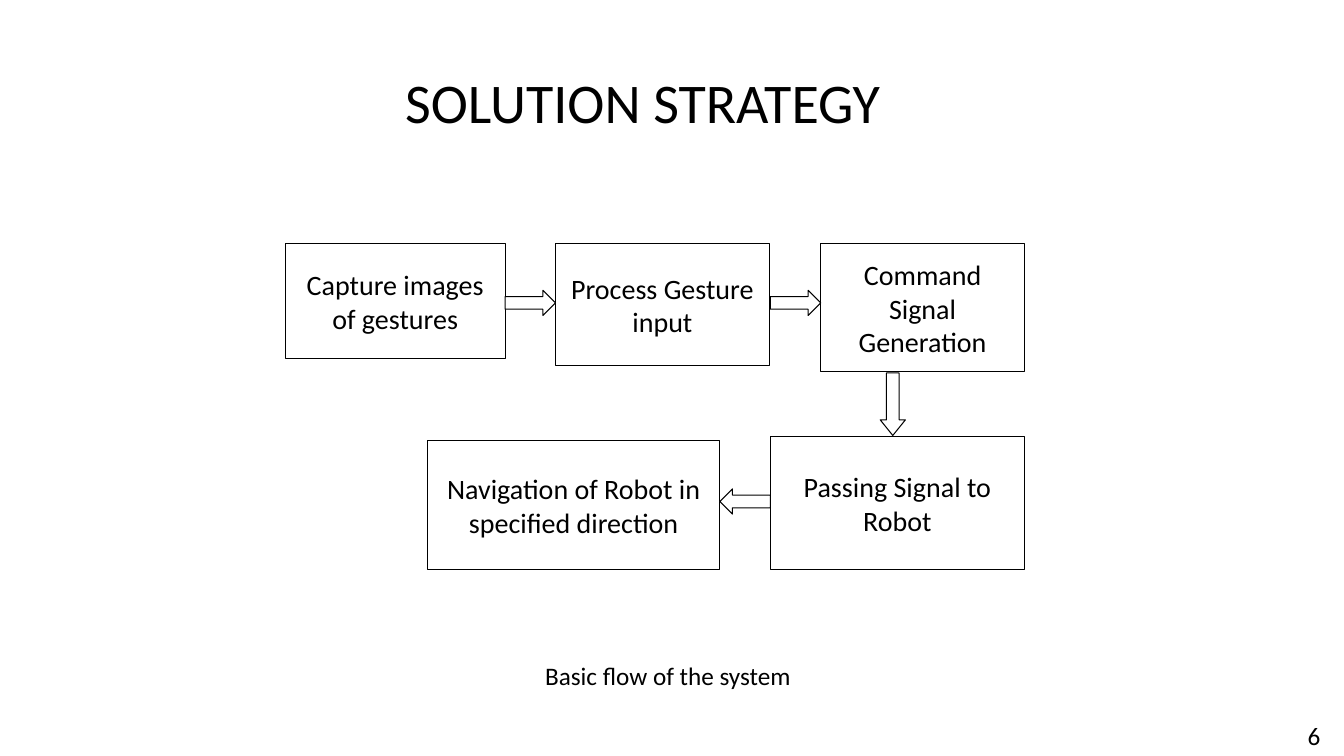
from pptx import Presentation
from pptx.dml.color import RGBColor
from pptx.enum.shapes import MSO_SHAPE
from pptx.enum.text import MSO_ANCHOR, PP_ALIGN
from pptx.util import Inches, Pt


def color(code):
    return RGBColor.from_string(code)


class Page:
    font = "Calibri"
    ink = "000000"
    paper = "FFFFFF"

    def __init__(self, slide):
        self.slide = slide

    def words(self, frame, text, size, align, after=0):
        frame.word_wrap = True
        para = frame.paragraphs[0]
        para.alignment = align
        para.space_after = Pt(after)
        run = para.add_run()
        run.text = text
        run.font.name = self.font
        run.font.size = Pt(size)
        run.font.color.rgb = color(self.ink)

    def shape(self, kind, place):
        item = self.slide.shapes.add_shape(kind, *map(Inches, place))
        item.shadow.inherit = False
        item.fill.solid()
        item.fill.fore_color.rgb = color(self.paper)
        item.line.color.rgb = color(self.ink)
        item.line.width = Pt(0.75)
        return item

    def step(self, text, *place):
        frame = self.shape(MSO_SHAPE.RECTANGLE, place).text_frame
        frame.vertical_anchor = MSO_ANCHOR.MIDDLE
        self.words(frame, text, 20, PP_ALIGN.CENTER, after=10)

    def arrow(self, kind, *place, head=0.5):
        item = self.shape(kind, place)
        item.adjustments[0] = 0.5
        item.adjustments[1] = head

    def label(self, text, size, align, *place):
        box = self.slide.shapes.add_textbox(*map(Inches, place))
        self.words(box.text_frame, text, size, align)


def main():
    deck = Presentation()
    deck.slide_width, deck.slide_height = Inches(13.33), Inches(7.5)
    page = Page(deck.slides.add_slide(deck.slide_layouts[6]))

    # Title
    page.label("SOLUTION STRATEGY", 40, PP_ALIGN.LEFT, 3.92, 0.62, 6.39, 0.77)

    # Upper row of steps
    top = 2.42
    page.step("Capture images of gestures", 2.83, top, 2.18, 1.14)
    page.step("Process Gesture input", 5.51, top, 2.12, 1.21)
    page.step("Command Signal Generation", 8.14, top, 2.02, 1.27)

    # Lower row of steps, flush at the bottom
    base = 5.65
    page.step("Passing Signal to Robot", 7.64, base - 1.32, 2.52, 1.32)
    page.step("Navigation of Robot in specified direction",
              4.24, base - 1.28, 2.9, 1.28)

    # Arrows between steps
    for kind, left, y in ((MSO_SHAPE.RIGHT_ARROW, 5.01, 2.88),
                          (MSO_SHAPE.RIGHT_ARROW, 7.64, 2.88),
                          (MSO_SHAPE.LEFT_ARROW, 7.14, 4.85)):
        page.arrow(kind, left, y, 0.5, 0.25)
    page.arrow(MSO_SHAPE.DOWN_ARROW, 8.73, 3.7, 0.25, 0.62, head=0.62)

    # Caption and page number
    page.label("Basic flow of the system", 18, PP_ALIGN.CENTER,
               5.26, 6.5, 2.73, 0.4)
    page.label("6", 18, PP_ALIGN.LEFT, 12.87, 7.1, 0.65, 0.4)

    deck.save("out.pptx")


if __name__ == "__main__":
    main()
